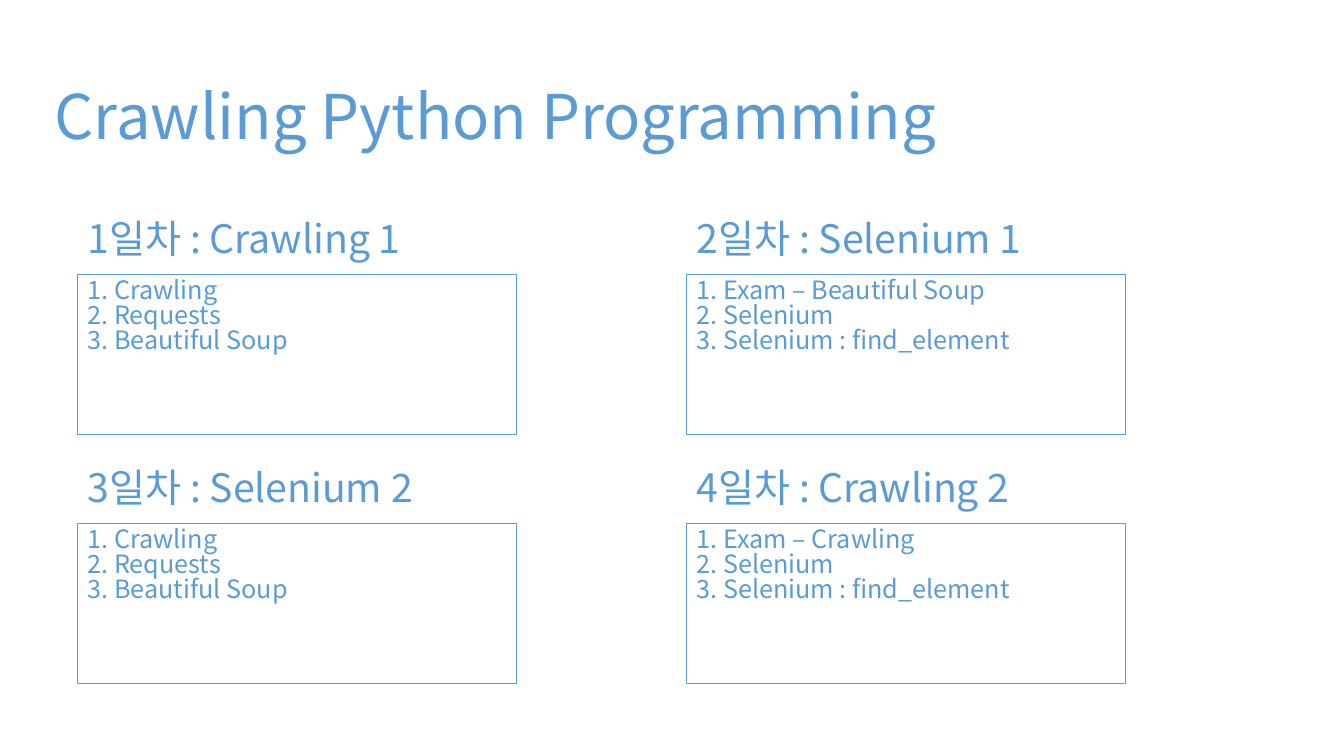
from pptx import Presentation
from pptx.dml.color import RGBColor
from pptx.enum.shapes import MSO_SHAPE
from pptx.enum.text import MSO_ANCHOR as Anchor, PP_ALIGN as Align
from pptx.util import Inches, Pt

BLUE = RGBColor(0x5B, 0x9B, 0xD5)
FONT = "Noto Sans CJK KR"

COURSE_DAYS = [
    ("1일차 : Crawling 1", ["1. Crawling", "2. Requests", "3. Beautiful Soup"]),
    ("2일차 : Selenium 1",
     ["1. Exam – Beautiful Soup", "2. Selenium", "3. Selenium : find_element"]),
    ("3일차 : Selenium 2", ["1. Crawling", "2. Requests", "3. Beautiful Soup"]),
    ("4일차 : Crawling 2",
     ["1. Exam – Crawling", "2. Selenium", "3. Selenium : find_element"]),
]

# Grid of day blocks, in inches
LEFT, TOP = 0.77, 2.0
COLUMN_STEP, ROW_STEP = 6.04, 2.47
BLOCK_WIDTH, HEADING_HEIGHT, TOPICS_HEIGHT = 4.35, 0.72, 1.59


class CourseSlide:
    """Holds the slide and its shared text style."""

    def __init__(self, deck):
        self.slide = deck.slides.add_slide(deck.slide_layouts[5])
        self.color = BLUE
        self.font = FONT

    def set_text(self, shape, lines, size, anchor, align=Align.LEFT, spacing=None):
        frame = shape.text_frame
        frame.text = "\n".join(lines)
        frame.word_wrap = True
        frame.vertical_anchor = anchor
        for paragraph in frame.paragraphs:
            paragraph.alignment = align
            paragraph.line_spacing = spacing
            for run in paragraph.runs:
                run.font.name = self.font
                run.font.size = Pt(size)
                run.font.color.rgb = self.color

    def title(self, text, left, top, width, height):
        title = self.slide.shapes.title
        title.left, title.top = Inches(left), Inches(top)
        title.width, title.height = Inches(width), Inches(height)
        self.set_text(title, [text], 44, Anchor.MIDDLE, Align.CENTER)

    def heading(self, text, left, top):
        heading = self.slide.shapes.add_textbox(
            Inches(left), Inches(top), Inches(BLOCK_WIDTH), Inches(HEADING_HEIGHT))
        self.set_text(heading, [text], 28, Anchor.MIDDLE)

    def topics(self, lines, left, top):
        box = self.slide.shapes.add_shape(
            MSO_SHAPE.RECTANGLE, Inches(left), Inches(top),
            Inches(BLOCK_WIDTH), Inches(TOPICS_HEIGHT))
        box.shadow.inherit = False
        box.fill.background()
        box.line.color.rgb = self.color
        box.line.width = Pt(0.75)
        self.set_text(box, lines, 18, Anchor.TOP, spacing=0.83)


def main():
    deck = Presentation()
    deck.slide_width, deck.slide_height = Inches(13.33), Inches(7.5)
    course = CourseSlide(deck)

    # Title
    course.title("Crawling Python Programming", 0.29, 0.33, 9.25, 1.62)

    # Four days, two per row
    for index, (heading, topics) in enumerate(COURSE_DAYS):
        row, column = divmod(index, 2)
        left = LEFT + column * COLUMN_STEP
        top = TOP + row * ROW_STEP
        course.heading(heading, left, top)
        course.topics(topics, left, top + HEADING_HEIGHT)

    deck.save("out.pptx")


if __name__ == "__main__":
    main()
